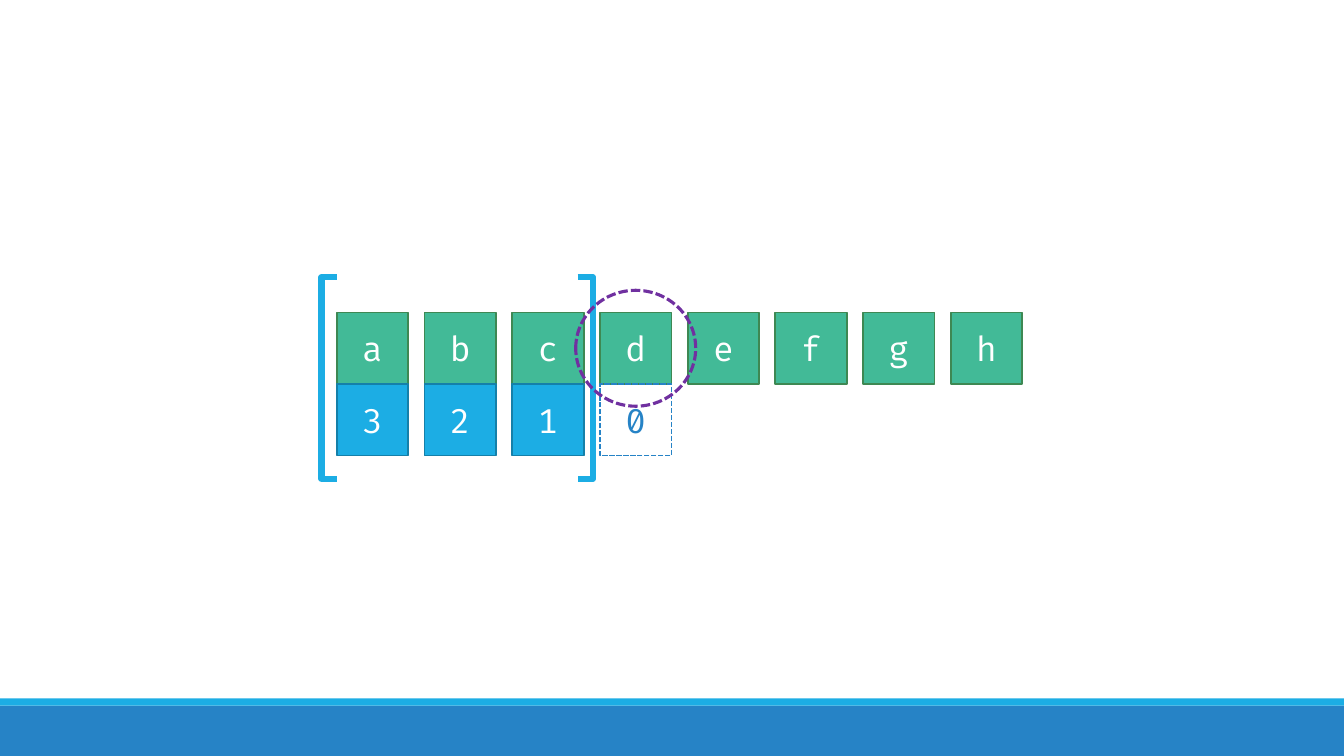
from pptx import Presentation
from pptx.dml.color import RGBColor
from pptx.enum.dml import MSO_LINE
from pptx.enum.shapes import MSO_SHAPE
from pptx.enum.text import MSO_ANCHOR, PP_ALIGN
from pptx.util import Inches, Pt

BLUE = RGBColor(0x26, 0x83, 0xC6)
SKY = RGBColor(0x1C, 0xAD, 0xE4)
SKY_EDGE = RGBColor(0x15, 0x80, 0xA9)
GREEN = RGBColor(0x42, 0xBA, 0x97)
GREEN_EDGE = RGBColor(0x3E, 0x88, 0x53)
PURPLE = RGBColor(0x70, 0x30, 0xA0)
WHITE = RGBColor(0xFF, 0xFF, 0xFF)

CELL = 0.71
PITCH = 0.87
ROW_LEFT = 3.34
LETTER_TOP = 3.1
COUNT_TOP = LETTER_TOP + CELL


class WindowSlide:
    font_format = {"name": "Fira Code", "size": Pt(24)}
    frame_format = {
        "margin_left": 0,
        "margin_right": 0,
        "margin_top": Inches(0.05),
        "margin_bottom": Inches(0.05),
        "vertical_anchor": MSO_ANCHOR.MIDDLE,
        "word_wrap": True,
    }

    def __init__(self, slide):
        self.slide = slide

    def apply(self, target, values):
        for name, value in values.items():
            setattr(target, name, value)

    def outline(self, preset, left, top, width, height, fill=None, edge=None, weight=1.25, dash=None):
        shape = self.slide.shapes.add_shape(
            preset, Inches(left), Inches(top), Inches(width), Inches(height)
        )
        shape.shadow.inherit = False
        if fill is None:
            shape.fill.background()
        else:
            shape.fill.solid()
            shape.fill.fore_color.rgb = fill
        if edge is None:
            shape.line.fill.background()
        else:
            shape.line.color.rgb = edge
            self.apply(shape.line, {"width": Pt(weight), "dash_style": dash})
        return shape

    def band(self, top, height, fill):
        self.outline(MSO_SHAPE.RECTANGLE, 0, top, 13.33, height, fill)

    def cell(self, column, top, symbol, fill, edge, color=WHITE, dash=None):
        left = ROW_LEFT + column * PITCH
        box = self.outline(MSO_SHAPE.RECTANGLE, left, top, CELL, CELL, fill, edge, dash=dash)
        self.apply(box.text_frame, self.frame_format)
        paragraph = box.text_frame.paragraphs[0]
        paragraph.alignment = PP_ALIGN.CENTER
        run = paragraph.add_run()
        run.text = symbol
        self.apply(run.font, self.font_format)
        run.font.color.rgb = color

    def row(self, top, symbols, fill, edge):
        for column, symbol in enumerate(symbols):
            self.cell(column, top, symbol, fill, edge)

    def bracket(self, preset, left):
        bracket = self.outline(preset, left, 2.75, 0.15, 2, edge=SKY, weight=4.5)
        bracket.adjustments[0] = 0

    def ring(self, left, top, width, height):
        self.outline(
            MSO_SHAPE.OVAL, left, top, width, height,
            edge=PURPLE, weight=2.25, dash=MSO_LINE.SQUARE_DOT,
        )


def main():
    presentation = Presentation()
    presentation.slide_width = Inches(13.33)
    presentation.slide_height = Inches(7.5)
    window = WindowSlide(presentation.slides.add_slide(presentation.slide_layouts[6]))

    window.band(7, 0.5, BLUE)
    window.band(6.93, 0.07, SKY)
    window.row(LETTER_TOP, "abcdefgh", GREEN, GREEN_EDGE)
    window.row(COUNT_TOP, "321", SKY, SKY_EDGE)
    window.bracket(MSO_SHAPE.LEFT_BRACKET, 3.19)
    window.bracket(MSO_SHAPE.RIGHT_BRACKET, 5.73)
    window.cell(3, COUNT_TOP, "0", None, BLUE, BLUE, MSO_LINE.SQUARE_DOT)
    window.ring(5.71, 2.88, 1.19, 1.15)

    presentation.save("out.pptx")


if __name__ == "__main__":
    main()
